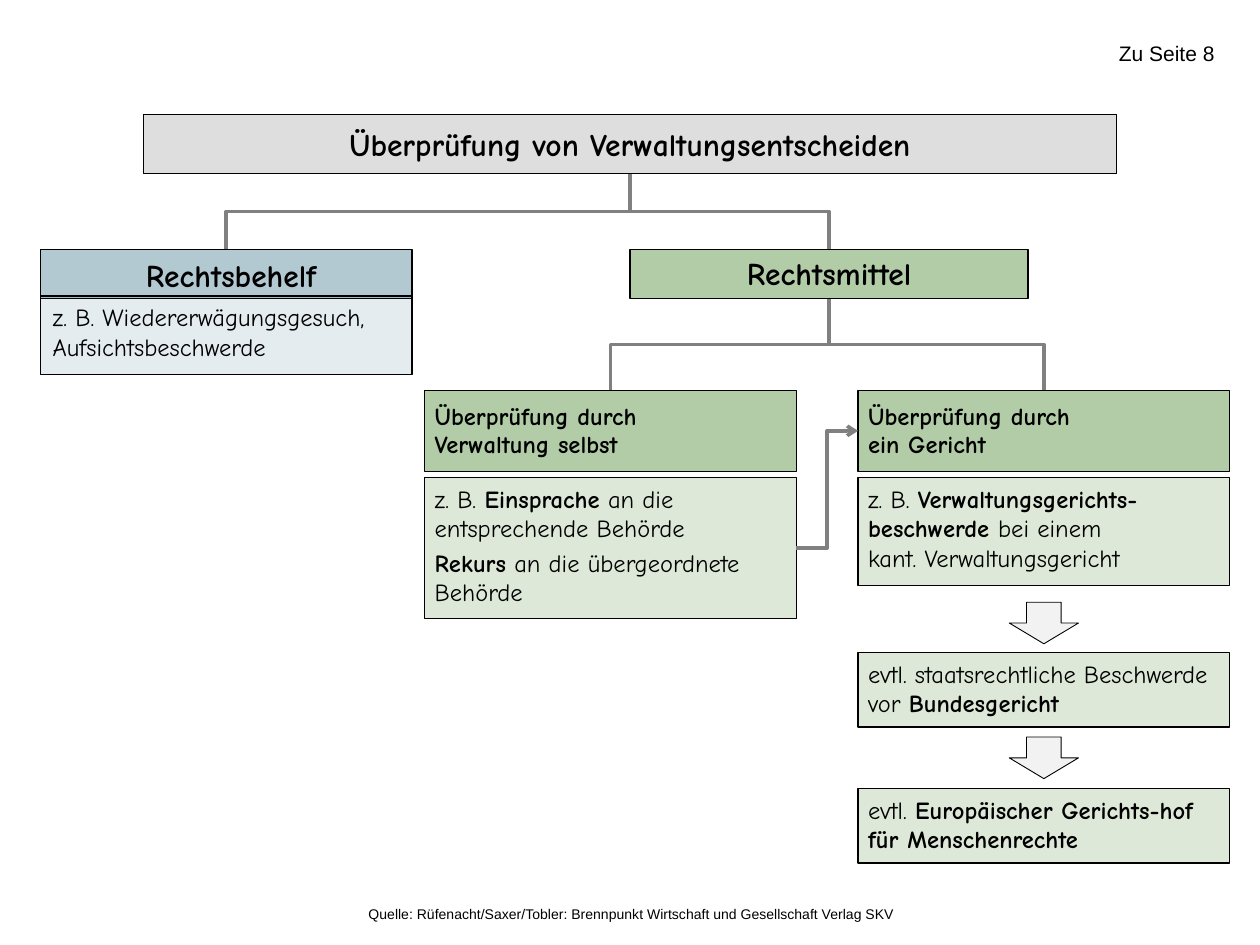
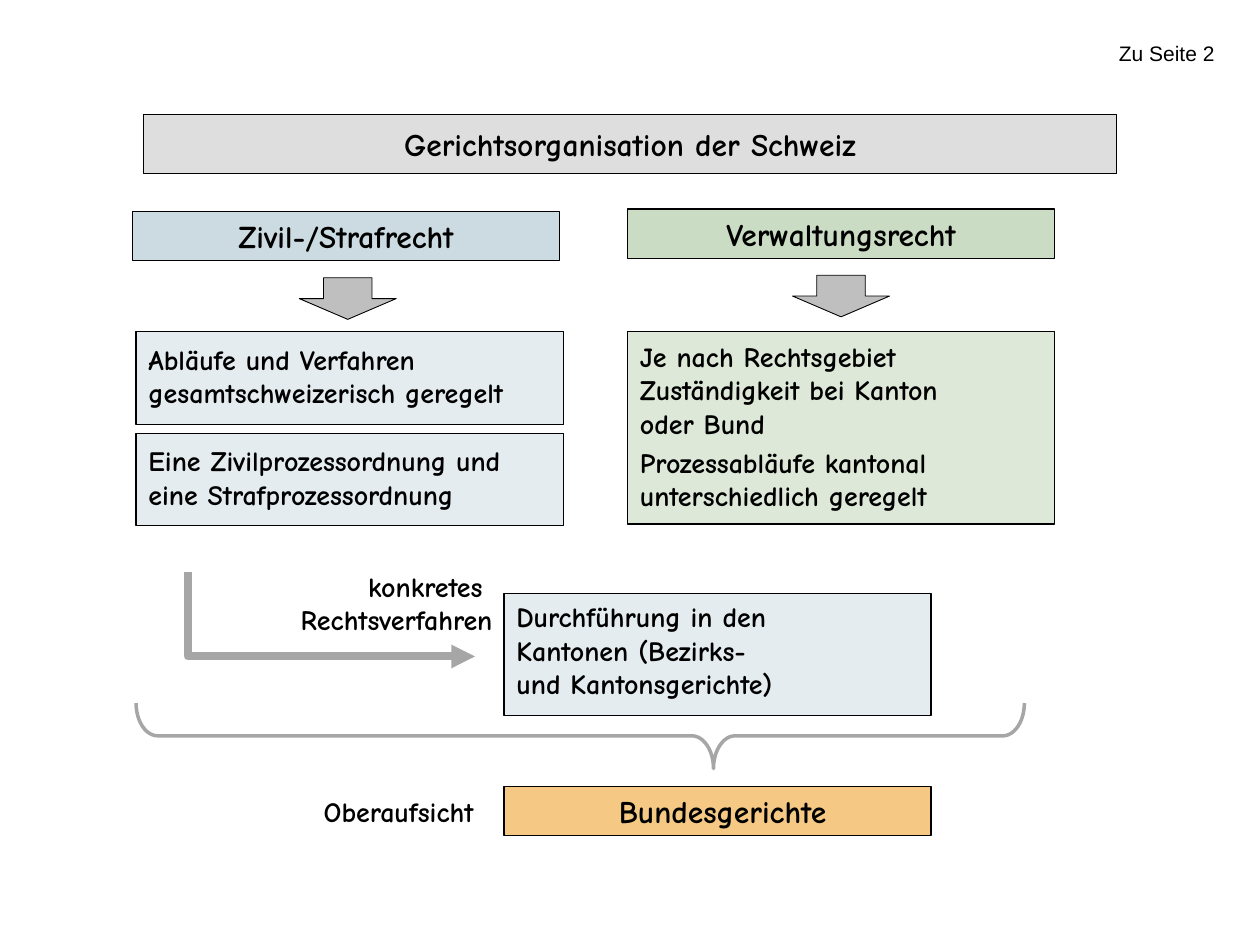
from typing import NamedTuple

from lxml import etree
from pptx import Presentation
from pptx import util as u
from pptx.dml.color import RGBColor
from pptx.enum import shapes, text
from pptx.oxml import ns

SLIDE_W, SLIDE_H = u.Inches(10), u.Inches(7.5)
COLUMNS, ROWS = 100, 75
CELL_W, CELL_H = SLIDE_W / COLUMNS, SLIDE_H / ROWS


class Theme:
    comic, plain = "Comic Neue", "Arial"
    black, title_grey, line_grey, flow_grey = "000000", "DDDEDD", "808080", "A6A6A6"
    pale_arrow, grey_arrow = "F2F2F2", "BFBFBF"
    # Tints: colour and opacity in percent
    blue_head, blue_mid, blue_pale = ("004D6D", 30), ("004D6D", 20), ("004D6D", 10)
    green_head, green_mid, green_pale = ("568E3E", 45), ("568E3E", 30), ("568E3E", 20)
    orange = ("EFA531", 60)
    heading, body, detail, note, source = 18, 16, 14, 12, 8
    border, thin, link, flow = 0.75, 0.5, 2, 4.5


LEFT, CENTER, RIGHT = text.PP_ALIGN.LEFT, text.PP_ALIGN.CENTER, text.PP_ALIGN.RIGHT
TOP, MIDDLE = text.MSO_ANCHOR.TOP, text.MSO_ANCHOR.MIDDLE

# Insets in inches: left, top, right, bottom
EVEN = (0.1, 0.05, 0.1, 0.05)
SNUG = (0.08, 0.05, 0.08, 0.05)
CARD = (0.08, 0.05, 0.04, 0.05)
OPEN = (0.1, 0.05, 0.02, 0.05)
DEEP = (0.1, 0.05, 0.02, 0.08)


class Box(NamedTuple):
    """A region in grid columns and rows."""
    left: float
    top: float
    width: float
    height: float

    @property
    def center(self):
        return self.left + self.width / 2

    @property
    def right(self):
        return self.left + self.width

    @property
    def bottom(self):
        return self.top + self.height

    def inner(self, dx, dy, width, height):
        return Box(self.left + dx, self.top + dy, width, height)

    def emu(self):
        return (round(self.left * CELL_W), round(self.top * CELL_H),
                round(self.width * CELL_W), round(self.height * CELL_H))


# ---- Shared drawing helpers ----

def rgb(code):
    return RGBColor.from_string(code)


def paint(shape, fill, line_width=Theme.border):
    color, opacity = fill if isinstance(fill, tuple) else (fill, 100)
    shape.shadow.inherit = False
    shape.fill.solid()
    shape.fill.fore_color.rgb = rgb(color)
    if opacity < 100:
        tint = shape.fill._xPr.find(".//" + ns.qn("a:srgbClr"))
        etree.SubElement(tint, ns.qn("a:alpha"), val=str(opacity * 1000))
    shape.line.color.rgb = rgb(Theme.black)
    shape.line.width = u.Pt(line_width)


def write(shape, paragraphs, size, bold=True, align=LEFT, anchor=TOP,
          inset=EVEN, gap=3, leading=None, font=Theme.comic):
    """Fill a frame; asterisks switch the weight, \\n breaks a line."""
    frame = shape.text_frame
    frame.word_wrap = True
    frame.vertical_anchor = anchor
    (frame.margin_left, frame.margin_top,
     frame.margin_right, frame.margin_bottom) = map(u.Inches, inset)
    for index, content in enumerate(paragraphs):
        paragraph = frame.add_paragraph() if index else frame.paragraphs[0]
        paragraph.alignment = align
        if index:
            paragraph.space_before = u.Pt(gap)
        if leading:
            paragraph.line_spacing = u.Pt(leading)
        for turn, piece in enumerate(content.split("*")):
            for row, words in enumerate(piece.split("\n")):
                if row:
                    paragraph.add_line_break()
                if words:
                    run = paragraph.add_run()
                    run.text = words
                    run.font.name, run.font.size = font, u.Pt(size)
                    run.font.bold = bold != bool(turn % 2)
                    run.font.color.rgb = rgb(Theme.black)
        for line_break in paragraph._p.findall(ns.qn("a:br")):
            etree.SubElement(line_break, ns.qn("a:rPr"), sz=str(size * 100))


def panel(slide, box, paragraphs, fill, size, **style):
    shape = slide.shapes.add_shape(shapes.MSO_SHAPE.RECTANGLE, *box.emu())
    paint(shape, fill)
    write(shape, paragraphs, size, **style)


def label(slide, box, content, size, **style):
    write(slide.shapes.add_textbox(*box.emu()), [content], size, **style)


def down_arrow(slide, center, top, width, fill):
    box = Box(center - width / 2, top, width, 3.3)
    arrow = slide.shapes.add_shape(shapes.MSO_SHAPE.DOWN_ARROW, *box.emu())
    paint(arrow, fill, Theme.thin)


def elbow(slide, start, end, color=Theme.line_grey, width=Theme.link,
          downward=True, preset="bentConnector3", head=None):
    """Bent line; a downward one leaves its start vertically."""
    (x0, y0), (x1, y1) = start, end
    across, down = abs(x1 - x0), abs(y1 - y0)
    turn = {}
    if downward:
        turn = {"rot": "16200000", "flipH": "1"} if x1 > x0 else {"rot": "5400000"}
        across, down = down, across
    elif y1 < y0:
        turn = {"flipV": "1"}
    left, top = (x0 + x1 - across) / 2, (y0 + y1 - down) / 2
    x, y, w, h = Box(left, top, across, down).emu()
    link = slide.shapes.add_connector(shapes.MSO_CONNECTOR.ELBOW, x, y, x + w, y + h)
    link.line.color.rgb = rgb(color)
    link.line.width = u.Pt(width)
    properties = link._element.spPr
    for key, value in turn.items():
        properties.find(ns.qn("a:xfrm")).set(key, value)
    properties.find(ns.qn("a:prstGeom")).set("prst", preset)
    if head:
        etree.SubElement(properties.find(ns.qn("a:ln")), ns.qn("a:tailEnd"), type=head)
    etree.SubElement(properties, ns.qn("a:effectLst"))


def new_page(deck, page_note, title):
    """Blank slide with page note and title band; returns the band's box."""
    slide = deck.slides.add_slide(deck.slide_layouts[6])
    label(slide, Box(85.4, 3.1, 11, 2.6), page_note, Theme.note, bold=False,
          align=RIGHT, anchor=MIDDLE, inset=(0, 0.02, 0, 0.05), font=Theme.plain)
    band = Box(11.4, 9.1, 77.2, 4.7)
    panel(slide, band, [title], Theme.title_grey, Theme.heading,
          align=CENTER, anchor=MIDDLE)
    return slide, band


# ---- Review of administrative decisions ----

def informal_remedy(slide, box):
    panel(slide, box.inner(0, 0, box.width, 3.9), ["Rechtsbehelf"],
          Theme.blue_head, Theme.heading, align=CENTER, inset=OPEN)
    panel(slide, box.inner(0, 3.7, box.width, 6.2),
          ["z. B. Wiedererwägungsgesuch, Aufsichtsbeschwerde"],
          Theme.blue_pale, Theme.detail, bold=False)


def review_column(slide, box, heading, steps):
    """Heading above steps, each given as (offset, height, paragraphs)."""
    panel(slide, box.inner(0, 0, box.width, 6.4), [heading], Theme.green_head,
          Theme.detail, anchor=MIDDLE, inset=CARD, leading=16)
    for offset, height, paragraphs in steps:
        panel(slide, box.inner(0, offset, box.width, height), paragraphs,
              Theme.green_pale, Theme.detail, bold=False, inset=CARD)


def review_slide(deck):
    slide, band = new_page(deck, "Zu Seite 8", "Überprüfung von Verwaltungsentscheiden")
    remedy = Box(3.2, 19.8, 29.5, 9.9)
    appeal = Box(50, 19.8, 31.6, 3.9)
    authority = Box(33.7, 31, 29.5, 18.1)
    court = Box(68.1, 31, 29.5, 37.5)

    # Branches of the tree
    for parent, children in ((band, (remedy, appeal)), (appeal, (authority, court))):
        for child in children:
            elbow(slide, (parent.center, parent.bottom), (child.center, child.top))

    informal_remedy(slide, remedy)
    panel(slide, appeal, ["Rechtsmittel"], Theme.green_head, Theme.heading,
          align=CENTER, anchor=MIDDLE, inset=SNUG, leading=20)
    review_column(slide, authority, "Überprüfung durch\nVerwaltung selbst", [
        (6.9, 11.2, ["z. B. *Einsprache* an die entsprechende Behörde",
                     "*Rekurs* an die übergeordnete Behörde"])])
    review_column(slide, court, "Überprüfung durch\nein Gericht", [
        (6.9, 8.6, ["z. B. *Verwaltungsgerichts-beschwerde *bei einem \n"
                    "kant. Verwaltungsgericht"]),
        (20.8, 5.9, ["evtl. staatsrechtliche Beschwerde vor *Bundesgericht*"]),
        (31.6, 5.9, ["evtl. *Europäischer Gerichts-hof für Menschenrechte*"])])

    # Way from the authority to the courts
    elbow(slide, (authority.right, authority.top + 12.5), (court.left, court.top + 3.2),
          downward=False, head="arrow")
    for offset in (16.8, 27.5):
        down_arrow(slide, court.center, court.top + offset, 5.5, Theme.pale_arrow)

    label(slide, Box(22, 71.4, 50, 2.4),
          "Quelle: Rüfenacht/Saxer/Tobler: Brennpunkt Wirtschaft und Gesellschaft Verlag SKV",
          Theme.source, bold=False, align=RIGHT, font=Theme.plain)


# ---- Organisation of the courts ----

def law_branch(slide, box, heading, head_fill, rule_fill, rules, shift=0, inset=EVEN):
    """Heading, arrow and rule panels, given as (offset, height, paragraphs)."""
    panel(slide, box.inner(0, 0, box.width, 3.9), [heading], head_fill,
          Theme.heading, align=CENTER, anchor=MIDDLE, inset=inset)
    down_arrow(slide, box.center + shift / 2, box.top + 5.25, 7.7, Theme.grey_arrow)
    for offset, height, paragraphs in rules:
        panel(slide, box.inner(shift, offset, box.width, height), paragraphs,
              rule_fill, Theme.body, anchor=MIDDLE, inset=DEEP)


def procedure(slide, box):
    """Concrete proceedings: bent arrow with caption, then the cantons."""
    label(slide, box.inner(2.1, 0, 22.3, 6.6), "konkretes \nRechtsverfahren",
          Theme.body, align=RIGHT, inset=OPEN)
    elbow(slide, (box.left, box.top + 0.7), (box.left + 22.8, box.top + 7.4),
          Theme.flow_grey, Theme.flow, preset="bentConnector2", head="triangle")
    panel(slide, box.inner(25.1, 2.4, 33.9, 9.7),
          ["Durchführung in den \nKantonen (Bezirks- \nund Kantonsgerichte)"],
          Theme.blue_pale, Theme.body, inset=OPEN)


def supervision(slide, box):
    """Brace over the federal courts and their caption."""
    depth, span = 5.2, box.width
    upright = Box(box.center - depth / 2, box.top + (depth - span) / 2, depth, span)
    brace = slide.shapes.add_shape(shapes.MSO_SHAPE.RIGHT_BRACE, *upright.emu())
    brace.rotation = 90
    brace.adjustments[0], brace.adjustments[1] = 0.33, 0.35
    brace.shadow.inherit = False
    brace.fill.background()
    brace.line.color.rgb = rgb(Theme.flow_grey)
    brace.line.width = u.Pt(Theme.link)
    panel(slide, box.inner(29.2, 6.6, 33.9, 3.9), ["Bundesgerichte"],
          Theme.orange, Theme.heading, align=CENTER, inset=OPEN)
    label(slide, box.inner(10.2, 6.8, 20.5, 3.6), "Oberaufsicht", Theme.body,
          align=CENTER, inset=OPEN)


def courts_slide(deck):
    slide, _ = new_page(deck, "Zu Seite 2", "Gerichtsorganisation der Schweiz")
    law_branch(slide, Box(10.5, 16.8, 33.9, 24.9), "Zivil-/Strafrecht",
               Theme.blue_mid, Theme.blue_pale, [
                   (9.5, 7.4, ["Abläufe und Verfahren gesamtschweizerisch geregelt"]),
                   (17.6, 7.3, ["Eine Zivilprozessordnung und \neine Strafprozessordnung"])],
               shift=0.3)
    law_branch(slide, Box(49.8, 16.6, 33.9, 25), "Verwaltungsrecht",
               Theme.green_mid, Theme.green_pale, [
                   (9.7, 15.3, ["Je nach Rechtsgebiet Zuständigkeit bei Kanton \noder Bund",
                                "Prozessabläufe kantonal unterschiedlich geregelt"])],
               inset=SNUG)
    procedure(slide, Box(14.9, 44.7, 59, 12.1))
    supervision(slide, Box(10.8, 55.8, 70.5, 10.5))


def main():
    deck = Presentation()
    deck.slide_width, deck.slide_height = SLIDE_W, SLIDE_H
    review_slide(deck)
    courts_slide(deck)
    deck.save("out.pptx")


if __name__ == "__main__":
    main()
